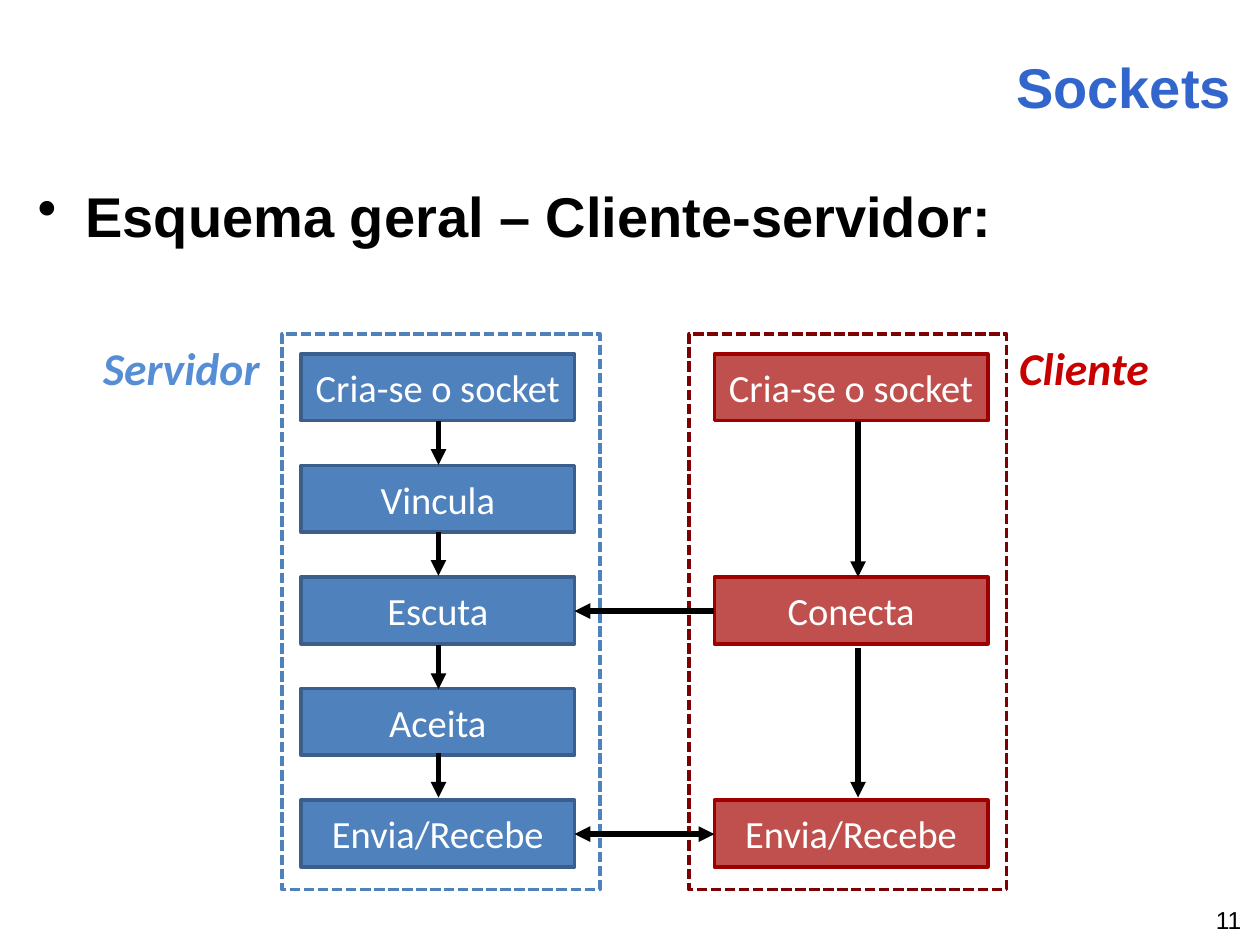
from lxml import etree
from pptx import Presentation
from pptx.dml.color import RGBColor
from pptx.enum import dml, shapes, text
from pptx.oxml.ns import qn
from pptx.util import Inches, Pt

BOX_LEFT, BOX_WIDTH, BOX_HEIGHT = {"server": 2.39, "client": 5.67}, 2.17, 0.53
FIRST_TOP, ROW_STEP = 2.81, 0.885


def color(hex_value):
    return RGBColor.from_string(hex_value)


def write(frame, words, size, font, hex_value, align, bold=False, italic=False):
    paragraph = frame.paragraphs[0]
    paragraph.text = words
    paragraph.alignment = align
    paragraph.font.size = Pt(size)
    paragraph.font.name = font
    paragraph.font.bold = bold
    paragraph.font.italic = italic
    paragraph.font.color.rgb = color(hex_value)
    return paragraph


deck = Presentation()
deck.slide_width, deck.slide_height = Inches(10), Inches(7.5)
page = deck.slides.add_slide(deck.slide_layouts[6])
left, center, right = text.PP_ALIGN.LEFT, text.PP_ALIGN.CENTER, text.PP_ALIGN.RIGHT

# Dashed frames around the two sides
for x, line_color in ((5.47, "7E0000"), (2.24, "4F81BD")):
    frame = page.shapes.add_shape(
        shapes.MSO_SHAPE.RECTANGLE, Inches(x), Inches(2.65), Inches(2.52), Inches(4.41))
    frame.shadow.inherit = False
    frame.fill.background()
    frame.line.color.rgb = color(line_color)
    frame.line.width = Pt(2)
    frame.line.dash_style = dml.MSO_LINE.SQUARE_DOT

# Title, bullet, side labels and page number
labels = (
    ("Sockets", 0.83, 0.06, 9.04, 1.25, 32, "Arial", "3366CC", right, True, False),
    ("Esquema geral – Cliente-servidor:", 0.2, 1.39, 9.61, 0.75, 32, "Arial", "000000",
     left, True, False),
    ("Servidor", 0.72, 2.65, 1.47, 0.54, 26, "Calibri", "558ED5", left, True, True),
    ("Cliente", 7.99, 2.65, 1.24, 0.54, 26, "Calibri", "C80000", left, True, True),
    ("11", 9.43, 7.13, 0.52, 0.34, 14, "Arial", "000000", right, False, False),
)
for words, x, y, width, height, *style in labels:
    box = page.shapes.add_textbox(Inches(x), Inches(y), Inches(width), Inches(height))
    box.text_frame.word_wrap = width > 2
    paragraph = write(box.text_frame, words, *style)
    if words == "Sockets":
        box.text_frame.vertical_anchor = text.MSO_ANCHOR.MIDDLE
    elif words.startswith("Esquema"):
        paragraph.space_before = Pt(4)
        properties = paragraph._p.get_or_add_pPr()
        properties.set("marL", str(Inches(0.38)))
        properties.set("indent", str(-Inches(0.38)))
        bullet = etree.Element(qn("a:buChar"), char="•")
        properties.find(qn("a:spcBef")).addnext(bullet)

# Steps of each side, placed on a shared row grid
steps = (
    ("server", "4F81BD", "3A5F8C", ((0, "Cria-se o socket"), (1, "Vincula"), (2, "Escuta"),
                                    (3, "Aceita"), (4, "Envia/Recebe"))),
    ("client", "C0504D", "9E0000", ((0, "Cria-se o socket"), (2, "Conecta"),
                                    (4, "Envia/Recebe"))),
)
for side, fill_color, line_color, rows in steps:
    for row, words in rows:
        box = page.shapes.add_shape(
            shapes.MSO_SHAPE.RECTANGLE, Inches(BOX_LEFT[side]),
            Inches(FIRST_TOP + row * ROW_STEP), Inches(BOX_WIDTH), Inches(BOX_HEIGHT))
        box.shadow.inherit = False
        box.fill.solid()
        box.fill.fore_color.rgb = color(fill_color)
        box.line.color.rgb = color(line_color)
        box.line.width = Pt(2)
        box.text_frame.word_wrap = True
        box.text_frame.vertical_anchor = text.MSO_ANCHOR.MIDDLE
        write(box.text_frame, words, 22, "Calibri", "FFFFFF", center)

# Arrows: down each side, then across between the sides
server_x, client_x = 3.48, 6.81
server_edge, client_edge = BOX_LEFT["server"] + BOX_WIDTH, BOX_LEFT["client"]
arrows = [(server_x, y, server_x, y + 0.35, False) for y in (3.34, 4.22, 5.12, 5.98)]
arrows += [
    (client_x, 3.34, client_x, 4.58, False),
    (client_x, 5.14, client_x, 6.33, False),
    (client_edge, 4.85, server_edge, 4.85, False),
    (client_edge, 6.62, server_edge, 6.62, True),
]
for x1, y1, x2, y2, both_ends in arrows:
    arrow = page.shapes.add_connector(
        shapes.MSO_CONNECTOR.STRAIGHT, Inches(x1), Inches(y1), Inches(x2), Inches(y2))
    arrow.line.color.rgb = color("000000")
    arrow.line.width = Pt(3)
    line = arrow.line._get_or_add_ln()
    for end in ("a:headEnd", "a:tailEnd") if both_ends else ("a:tailEnd",):
        etree.SubElement(line, qn(end), type="triangle")
    etree.SubElement(arrow._element.spPr, qn("a:effectLst"))

deck.save("out.pptx")
